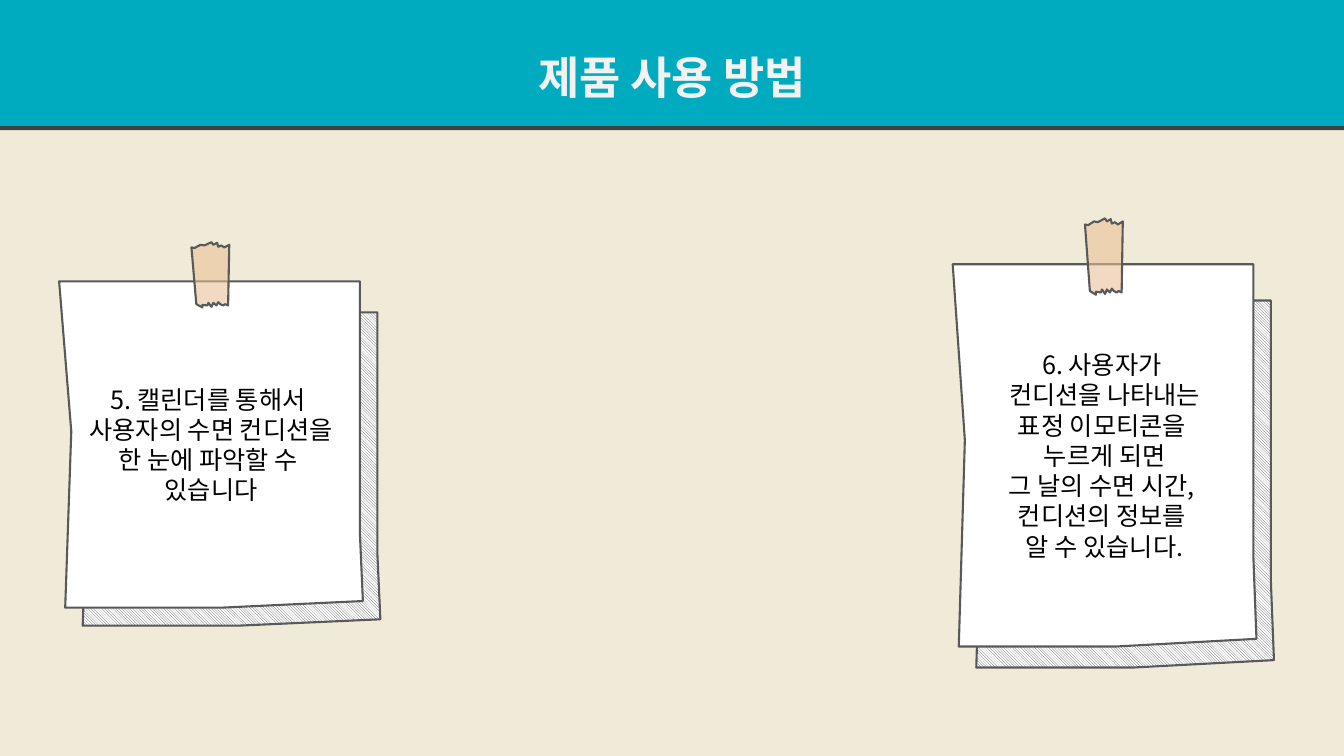
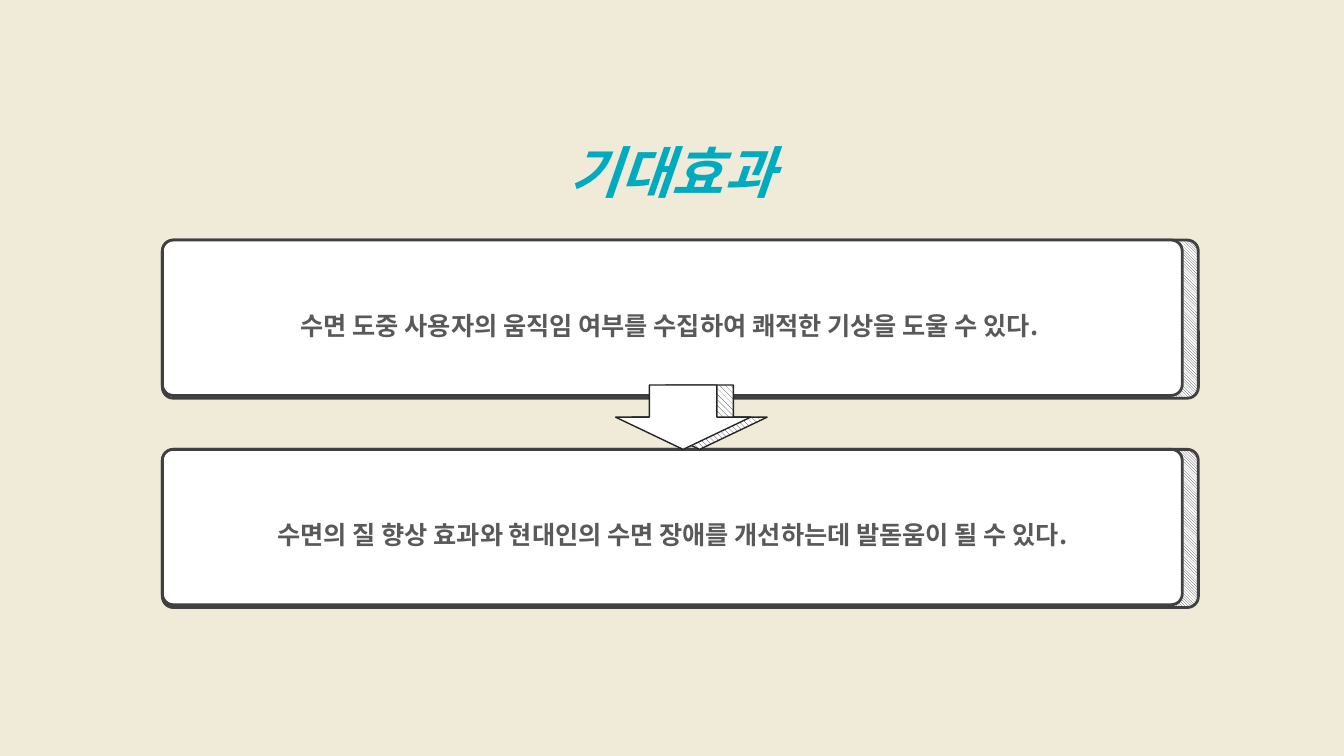
from lxml import etree
from pptx import Presentation
from pptx.dml.color import RGBColor
from pptx.enum import dml, shapes, text
from pptx.oxml.ns import qn
from pptx.util import Pt

SHAPE = shapes.MSO_SHAPE
PATTERN = dml.MSO_PATTERN
ANCHOR = text.MSO_ANCHOR

# Outlines as fractions of the box they fill
PAPER = [(0, 0), (.99, 0), (.99, .77), (1, .98), (.54, 1), (.02, 1), (.04, .46)]
TAPE = [(.13, .95), (.29, 1), (.29, .96), (.42, .97), (.45, .93), (.53, .99),
        (.58, .93), (.66, .97), (.71, .92), (.76, .95), (.84, .97), (.89, .95),
        (.97, .97), (1, .04), (.87, .08), (.79, .05), (.71, .07), (.68, .01),
        (.58, .04), (.53, 0), (.34, .05), (.24, .04), (.08, .09), (0, .08)]


def rgb(value):
    return RGBColor.from_string(value)


class Deck:
    FONT = "Noto Sans CJK KR"
    BG, TEAL, WHITE, PALE = "F0EBD8", "00ABBF", "FFFFFF", "F2F2F2"
    BLACK, DARK, GRAY, INK = "000000", "404040", "595959", "262626"
    TAN = "EAC096"

    def __init__(self):
        self.prs = Presentation()
        self.prs.slide_width, self.prs.slide_height = Pt(960), Pt(540)
        self.s = None

    def slide(self):
        self.s = self.prs.slides.add_slide(self.prs.slide_layouts[5])
        fill = self.s.background.fill
        fill.solid()
        fill.fore_color.rgb = rgb(self.BG)

    def paint(self, sp, fill, line, width, pattern=None):
        """Fill plainly, or hatch in the line colour on the fill colour."""
        sp.shadow.inherit = False
        if pattern:
            sp.fill.patterned()
            sp.fill.pattern = pattern
            sp.fill.fore_color.rgb = rgb(line)
            sp.fill.back_color.rgb = rgb(fill)
        else:
            sp.fill.solid()
            sp.fill.fore_color.rgb = rgb(fill)
        sp.line.color.rgb = rgb(line)
        sp.line.width = Pt(width)

    def put_text(self, sp, lines, color, size=18, spacing=1.0,
                 anchor=ANCHOR.MIDDLE, **style):
        tf = sp.text_frame
        tf.word_wrap = True
        tf.auto_size = text.MSO_AUTO_SIZE.NONE
        tf.vertical_anchor = anchor
        style.update(name=self.FONT, size=Pt(size))
        for i, line in enumerate(lines):
            p = tf.paragraphs[0] if i == 0 else tf.add_paragraph()
            p.alignment = text.PP_ALIGN.CENTER
            p.line_spacing = Pt(round(size * 1.2 * spacing, 1))
            r = p.add_run()
            r.text = line
            for key, value in style.items():
                setattr(r.font, key, value)
            r.font.color.rgb = rgb(color)
            ea = etree.SubElement(r.font._element, qn("a:ea"))
            ea.set("typeface", self.FONT)

    def title(self, line, box, color, **style):
        sp = self.s.shapes.title
        sp.left, sp.top, sp.width, sp.height = map(Pt, box)
        self.put_text(sp, [line], color, spacing=1.5, bold=True, **style)
        return sp

    def band_title(self, line):
        sp = self.title(line, (0, 0, 960, 90), self.PALE, size=32)
        sp.fill.solid()
        sp.fill.fore_color.rgb = rgb(self.TEAL)
        # Hard shadow along the lower edge
        sp.shadow.inherit = False
        effects = sp._element.spPr.find(qn("a:effectLst"))
        shadow = etree.SubElement(effects, qn("a:outerShdw"), blurRad="0",
                                  dist=str(Pt(3)), dir="5400000",
                                  algn="t", rotWithShape="0")
        etree.SubElement(shadow, qn("a:srgbClr"), val=self.DARK)

    def outline(self, points, x, y, w, h, fill, pattern=None):
        pts = [(Pt(x + w * fx), Pt(y + h * fy)) for fx, fy in points]
        builder = self.s.shapes.build_freeform(*pts[0])
        builder.add_line_segments(pts[1:], close=True)
        sp = builder.convert_to_shape()
        self.paint(sp, fill, self.GRAY, 1.5, pattern)
        return sp

    def note(self, x, y, h, lines):
        """Paper sheet over a hatched sheet, held by a strip of tape."""
        w = 217
        self.outline(PAPER, x + 12.5, y + .095 * h, w, .96 * h, self.WHITE,
                     PATTERN.DARK_DOWNWARD_DIAGONAL)
        sheet = self.outline(PAPER, x, y, w, h, self.WHITE)
        self.put_text(sheet, lines, self.BLACK)
        tape = self.outline(TAPE, x + 94.5, y - .12 * h, 27, .2 * h, self.TAN)
        color = tape._element.spPr.find(qn("a:solidFill"))[0]
        etree.SubElement(color, qn("a:alpha"), val="58000")

    def preset(self, kind, box, line, width, pattern=None, radius=None):
        sp = self.s.shapes.add_shape(kind, *map(Pt, box))
        if radius:
            sp.adjustments[0] = radius
        self.paint(sp, self.WHITE, line, width, pattern)
        return sp

    def panel(self, y, line):
        x, kind = 116, SHAPE.ROUNDED_RECTANGLE
        self.preset(kind, (x, y, 740, 113), self.DARK, 2,
                    PATTERN.DARK_DOWNWARD_DIAGONAL, .07)
        sp = self.preset(kind, (x, y, 728.5, 111), self.DARK, 2, radius=.07)
        self.put_text(sp, [line], self.GRAY, spacing=1.5, bold=True)

    def down_arrow(self, x, y):
        for dx, pattern in ((11.75, PATTERN.WIDE_DOWNWARD_DIAGONAL), (0, None)):
            self.preset(SHAPE.DOWN_ARROW, (x + dx, y, 96.5, 46), self.INK, 1,
                        pattern)


def main():
    deck = Deck()

    # How to use the product
    deck.slide()
    deck.band_title("제품 사용 방법")
    deck.note(680.5, 188.75, 273, [
        "6. 사용자가 ", "컨디션을 나타내는", "표정 이모티콘을 ", "누르게 되면",
        "그 날의 수면 시간, ", "컨디션의 정보를 ", "알 수 있습니다."])
    deck.note(42.25, 201, 233, [
        "5. 캘린더를 통해서 ", "사용자의 수면 컨디션을", "한 눈에 파악할 수 ",
        "있습니다"])

    # Expected effects
    deck.slide()
    deck.title("기대효과", (263, 70.5, 434, 70.5), deck.TEAL, size=40,
               anchor=ANCHOR.TOP, italic=True)
    deck.panel(171.5, "수면 도중 사용자의 움직임 여부를 수집하여 쾌적한 기상을 도울 수 있다. ")
    deck.panel(321, "수면의 질 향상 효과와 현대인의 수면 장애를 개선하는데 발돋움이 될 수 있다.")
    deck.down_arrow(439.75, 275)

    deck.prs.save("out.pptx")


if __name__ == "__main__":
    main()
